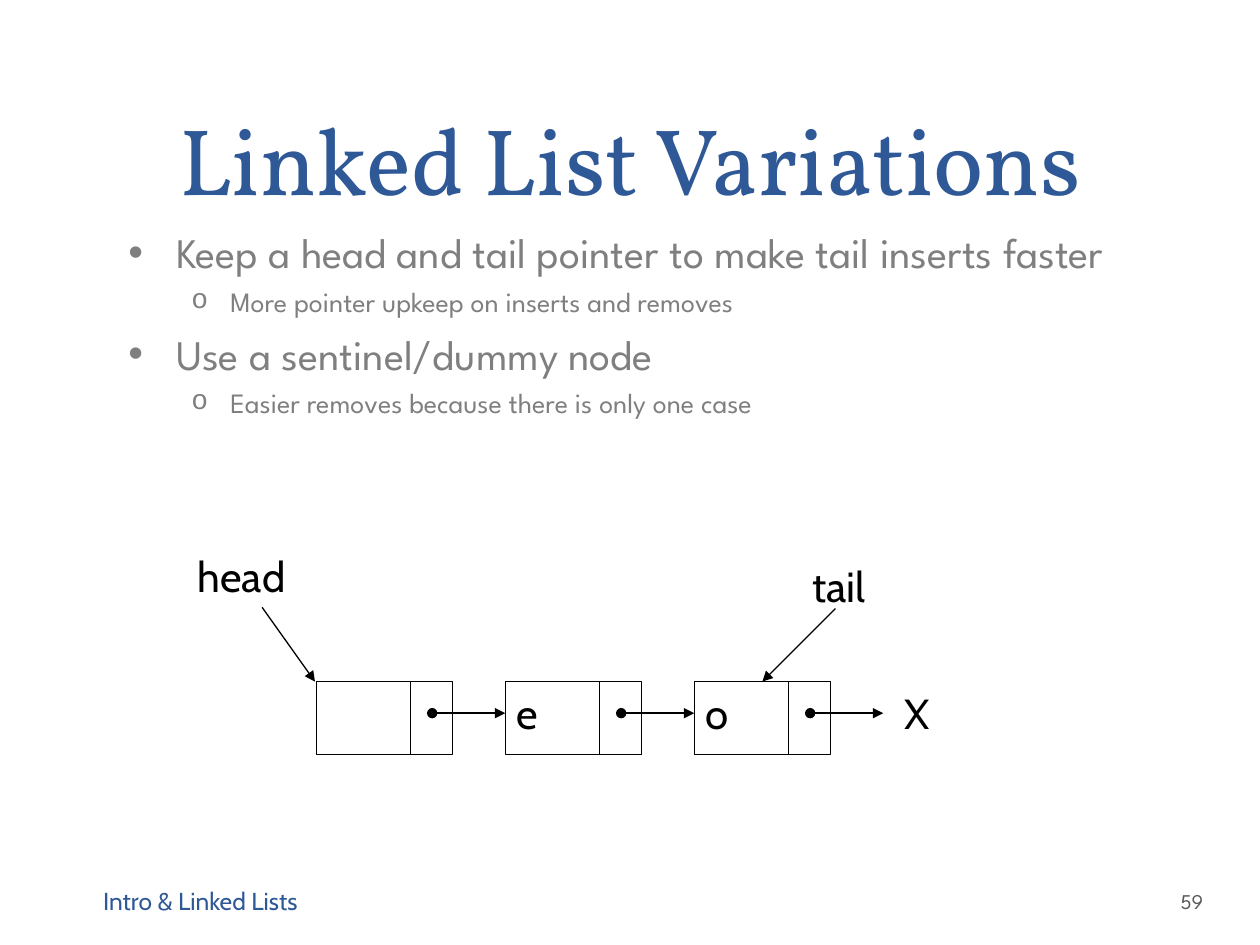
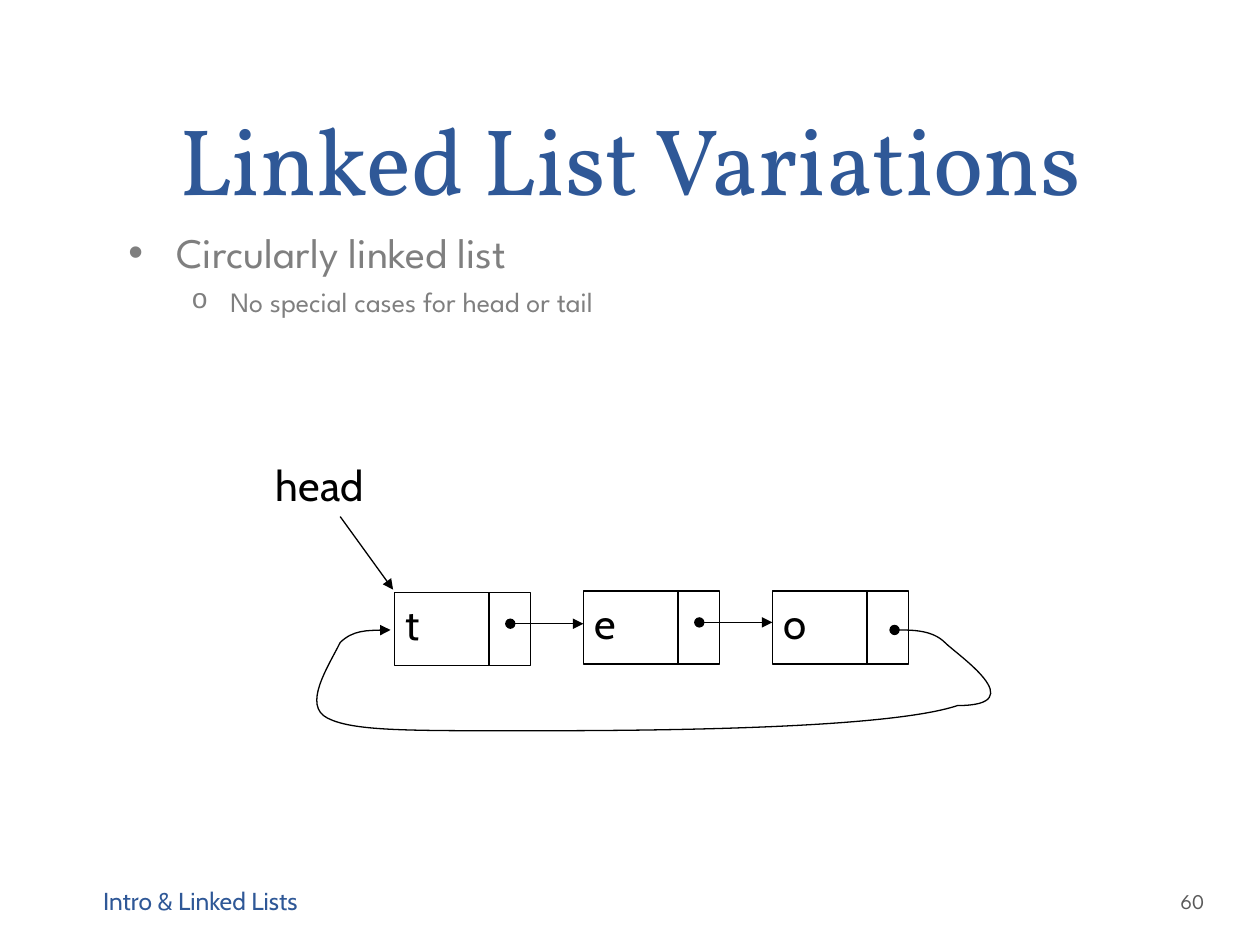
import lxml.etree
import pptx
import pptx.dml.color
import pptx.enum.shapes
import pptx.enum.text
import pptx.oxml.ns
import pptx.util

qn = pptx.oxml.ns.qn
SubElement = lxml.etree.SubElement
Align = pptx.enum.text.PP_ALIGN
Anchor = pptx.enum.text.MSO_ANCHOR

presentation = pptx.Presentation()
presentation.slide_width = pptx.util.Inches(10)
presentation.slide_height = pptx.util.Inches(7.5)
# The slide is a grid of 100 columns and 75 rows.
COLUMN = presentation.slide_width // 100
ROW = presentation.slide_height // 75

COLORS = {"blue": "2F5897", "gray": "7F7F7F", "dark gray": "595959", "black": "000000"}
STYLES = {
    "title": {"name": "Vollkorn", "size": pptx.util.Pt(54), "color": "blue"},
    "point": {"name": "League Spartan", "size": pptx.util.Pt(24), "color": "gray"},
    "detail": {"name": "League Spartan", "size": pptx.util.Pt(16), "color": "gray"},
    "footer": {"name": "Cabin", "size": pptx.util.Pt(14), "color": "blue"},
    "number": {"name": "League Spartan", "size": pptx.util.Pt(12), "color": "dark gray"},
    "diagram": {"name": "Cabin", "size": pptx.util.Pt(24), "color": "black"},
}
# Level, left margin and hanging indent in columns, space before, bullet, bullet font
BULLETS = {
    "point": (0, 3.8, 3.8, 6, "•", "Arial"),
    "detail": (1, 8.1, 3.1, 4, "o", "Courier New"),
}
NODE_WIDTH, NODE_HEIGHT, NODE_PITCH = 10.8, 5.8, 15
DIVIDER, POINTER_X, POINTER_Y = 7.5, 9.2, 2.5

SLIDES = [
    {
        "number": "59",
        "lines": [
            ("point", "Keep a head and tail pointer to make tail inserts faster"),
            ("detail", "More pointer upkeep on inserts and removes"),
            ("point", "Use a sentinel/dummy node"),
            ("detail", "Easier removes because there is only one case"),
        ],
        "labels": [("head", 14.7, 43.2, 9.8), ("tail", 63.5, 44, 6.8), ("X", 70.8, 54.1, 3.9)],
        "head arrow": (20.8, 48.2, 25, 54.1),
        "nodes": [("", 54.1), ("e", 54.1), ("o", 54.1)],
        "first node": 25.1,
        "circular": False,
    },
    {
        "number": "60",
        "lines": [
            ("point", "Circularly linked list"),
            ("detail", "No special cases for head or tail"),
        ],
        "labels": [("head", 20.9, 36, 9.8)],
        "head arrow": (27, 41, 31.2, 46.8),
        "nodes": [("t", 47), ("e", 46.9), ("o", 46.9)],
        "first node": 31.3,
        "circular": True,
    },
]
# Start point, then two control points and an end point for each curve
LOOP_POINTS = [
    (70.8, 49.9),
    (72.4, 49.9), (74.1, 49.9), (74.9, 51.1),
    (75.8, 52.2), (81.5, 55.5), (75.8, 56.5),
    (70.1, 57.6), (49.1, 57.5), (40.8, 57.6),
    (32.5, 57.6), (28.2, 57.9), (25.9, 56.9),
    (23.6, 55.9), (26.2, 52.6), (27.1, 51.4),
    (28, 50.2), (29.7, 50.1), (31.4, 49.9),
]


def add_text(slide, lines, left, top, width, height, **frame_format):
    """Add a text box at a grid place; lines are (style, text) pairs."""
    box = slide.shapes.add_textbox(
        int(left * COLUMN), int(top * ROW), int(width * COLUMN), int(height * ROW))
    frame = box.text_frame
    for attribute, value in {"word_wrap": True, **frame_format}.items():
        setattr(frame, attribute, value)
    for index, (style, text) in enumerate(lines):
        paragraph = frame.add_paragraph() if index else frame.paragraphs[0]
        if style in BULLETS:
            level, margin, hanging, space, bullet, bullet_font = BULLETS[style]
            paragraph.level = level
            if index:
                paragraph.space_before = pptx.util.Pt(space)
            properties = paragraph._p.get_or_add_pPr()
            properties.set("marL", str(int(margin * COLUMN)))
            properties.set("indent", str(int(-hanging * COLUMN)))
            bullet_color = SubElement(properties, qn("a:buClr"))
            SubElement(bullet_color, qn("a:srgbClr"), val=COLORS["gray"])
            SubElement(properties, qn("a:buFont"), typeface=bullet_font)
            SubElement(properties, qn("a:buChar"), char=bullet)
        run = paragraph.add_run()
        run.text = text
        for attribute, value in STYLES[style].items():
            if attribute == "color":
                run.font.color.rgb = pptx.dml.color.RGBColor.from_string(COLORS[value])
            else:
                setattr(run.font, attribute, value)
    return box


def style_line(shape, **ends):
    """Give a shape or connector a thin black line; ends maps headEnd and tailEnd to types."""
    shape.line.color.rgb = pptx.dml.color.RGBColor.from_string(COLORS["black"])
    shape.line.width = pptx.util.Pt(0.75)
    SubElement(shape._element.spPr, qn("a:effectLst"))
    for end, kind in ends.items():
        SubElement(shape.line._get_or_add_ln(), qn("a:" + end), type=kind)
    return shape


for content in SLIDES:
    slide = presentation.slides.add_slide(presentation.slide_layouts[6])
    title = add_text(slide, [("title", "Linked List Variations")], 5, 0, 90, 17.5,
                     vertical_anchor=Anchor.BOTTOM)
    title.text_frame.paragraphs[0].alignment = Align.CENTER
    title.text_frame.paragraphs[0].line_spacing = pptx.util.Pt(58)
    add_text(slide, content["lines"], 9.2, 17.5, 86.7, 50)
    add_text(slide, [("footer", "Intro & Linked Lists")], 7.2, 69.5, 31.1, 4,
             vertical_anchor=Anchor.MIDDLE)
    add_text(slide, [("number", content["number"])], 93.4, 69.5, 6.1, 4,
             vertical_anchor=Anchor.MIDDLE, margin_left=int(0.3 * COLUMN),
             margin_right=int(0.5 * COLUMN))

    for text, left, top, width in content["labels"]:
        add_text(slide, [("diagram", text)], left, top, width, 5, word_wrap=False)

    arrow, pointer = {"tailEnd": "triangle"}, {"headEnd": "oval", "tailEnd": "triangle"}
    segments = [(content["head arrow"], arrow)]
    for index, (letter, top) in enumerate(content["nodes"]):
        left = content["first node"] + index * NODE_PITCH
        is_last = index == len(content["nodes"]) - 1
        node = slide.shapes.add_shape(
            pptx.enum.shapes.MSO_SHAPE.RECTANGLE, int(left * COLUMN), int(top * ROW),
            int(NODE_WIDTH * COLUMN), int(NODE_HEIGHT * ROW))
        node.fill.background()
        style_line(node)
        if letter:
            add_text(slide, [("diagram", letter)], left - 0.1, top, 4, 5, word_wrap=False)
        segments.append(((left + DIVIDER, top, left + DIVIDER, top + NODE_HEIGHT), {}))
        if not (is_last and content["circular"]):
            row = top + POINTER_Y
            segments.append(((left + POINTER_X, row, left + NODE_PITCH, row), pointer))

    for (start_x, start_y, end_x, end_y), ends in segments:
        connector = slide.shapes.add_connector(
            pptx.enum.shapes.MSO_CONNECTOR.STRAIGHT, int(start_x * COLUMN),
            int(start_y * ROW), int(end_x * COLUMN), int(end_y * ROW))
        style_line(connector, **ends)

    if content["circular"]:
        builder = slide.shapes.build_freeform(*LOOP_POINTS[0], scale=COLUMN)
        builder.add_line_segments(LOOP_POINTS[1:], close=False)
        loop = builder.convert_to_shape()
        loop.fill.background()
        style_line(loop, **pointer)
        outline = next(loop._element.iter(qn("a:path")))
        steps = outline.findall(qn("a:lnTo"))
        for first in range(0, len(steps), 3):
            curve = SubElement(outline, qn("a:cubicBezTo"))
            for step in steps[first:first + 3]:
                curve.append(step[0])
                outline.remove(step)
    else:
        tail_arrow = slide.shapes.add_connector(
            pptx.enum.shapes.MSO_CONNECTOR.STRAIGHT, int(66.3 * COLUMN),
            int(48.3 * ROW), node.left, node.top)
        tail_arrow.end_connect(node, 0)
        style_line(tail_arrow, **arrow)

presentation.save("out.pptx")
